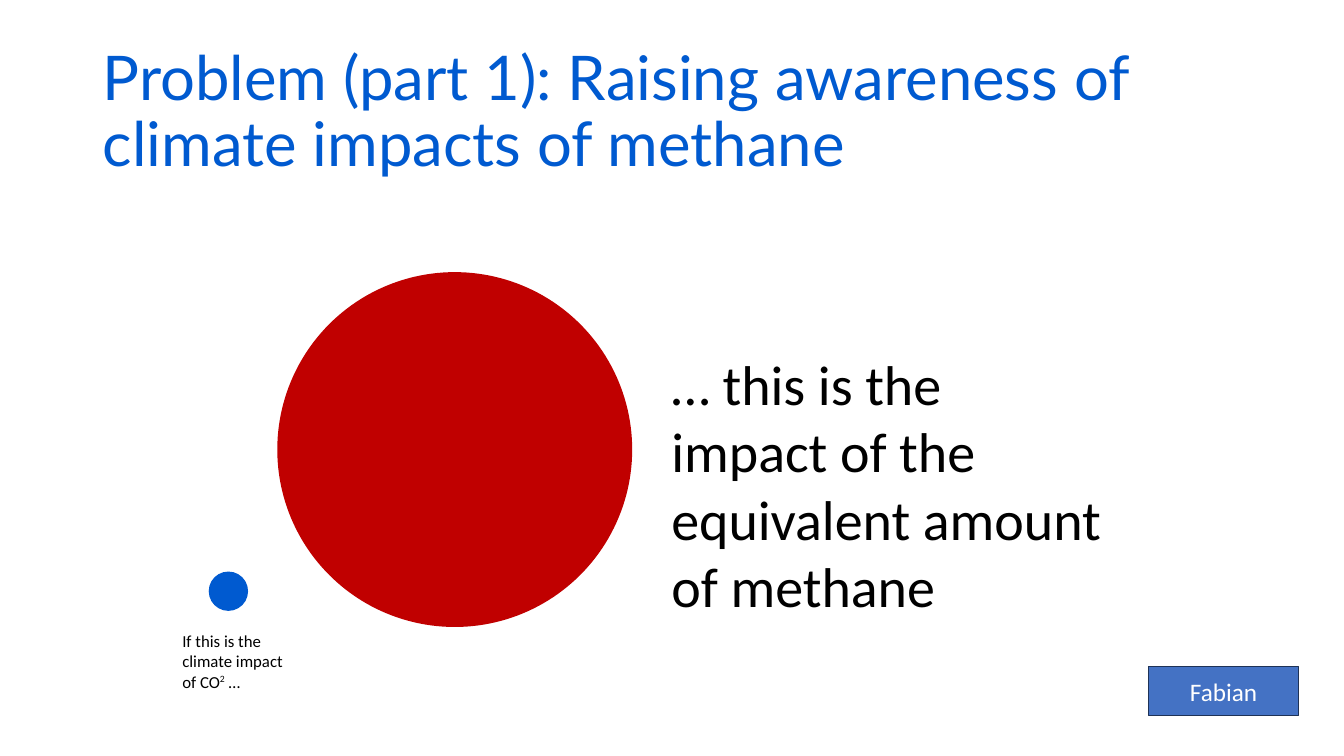
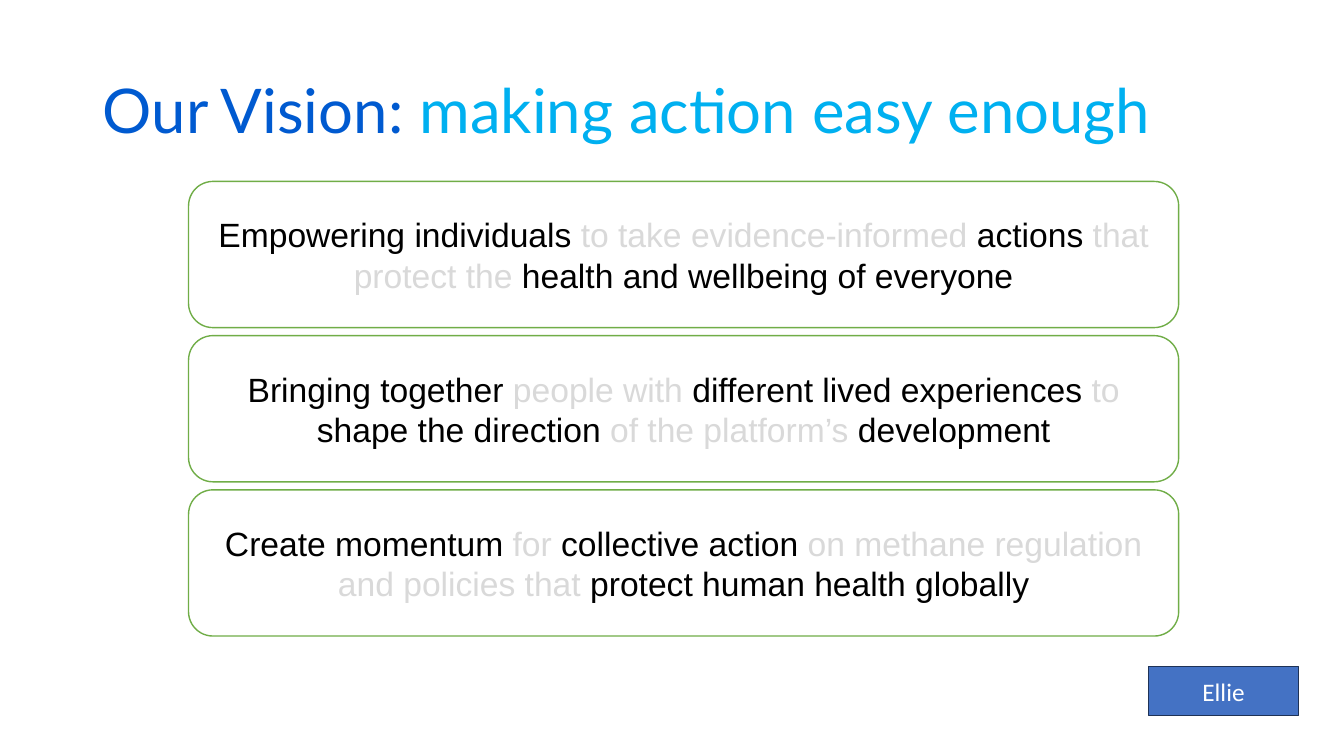
from dataclasses import dataclass

from pptx import Presentation
from pptx.dml.color import RGBColor
from pptx.enum.shapes import MSO_SHAPE
from pptx.enum.text import MSO_ANCHOR, MSO_AUTO_SIZE, PP_ALIGN
from pptx.util import Inches, Pt

OVAL, RECT, ROUND = MSO_SHAPE.OVAL, MSO_SHAPE.RECTANGLE, MSO_SHAPE.ROUNDED_RECTANGLE
LEFT, CENTER = PP_ALIGN.LEFT, PP_ALIGN.CENTER
TOP, MIDDLE = MSO_ANCHOR.TOP, MSO_ANCHOR.MIDDLE
FIXED = MSO_AUTO_SIZE.NONE


@dataclass(frozen=True)
class Theme:
    blue: str = "005AD0"
    sky: str = "00B0F0"
    red: str = "C00000"
    green: str = "70AD47"
    black: str = "000000"
    pale: str = "D9D9D9"
    white: str = "FFFFFF"
    tag: str = "4472C4"
    edge: str = "1E3256"
    head: tuple = ("Lato", 44)
    large: tuple = ("Calibri", 40)
    name: tuple = ("Calibri", 18)
    small: tuple = ("Calibri", 12)
    card: tuple = ("Arial", 24)


T = Theme()
TITLE_BOX = (0.92, 0.4, 11.5, 1.45)
TAG_BOX = (11.39, 6.61, 1.49, 0.49)
IMPACT_BOX = (1.71, 2.7, 9.36, 4.22)
VISION_BOX = (1.87, 1.8, 9.82, 4.51)

# Each card alternates between stressed and pale wording, stressed first.
CARDS = (
    ("Empowering individuals ", "to take evidence-informed ", "actions ",
     "that protect the", " health and wellbeing of everyone"),
    ("Bringing together ", "people with ", "different lived experiences",
     " to ", "shape the direction ", "of the platform’s ", "development"),
    ("Create momentum ", "for ", "collective action",
     " on methane regulation and policies that ",
     "protect human health globally"),
)


def rgb(code):
    return RGBColor.from_string(code)


def inches(box):
    return [Inches(n) for n in box]


def write(frame, runs, style, align=LEFT, anchor=TOP):
    """Fill a text frame with one paragraph of (text, colour) runs."""
    frame.word_wrap = True
    frame.auto_size = FIXED
    frame.vertical_anchor = anchor
    para = frame.paragraphs[0]
    para.alignment = align
    for text, color in runs:
        run = para.add_run()
        run.text = text
        run.font.name, run.font.size = style[0], Pt(style[1])
        run.font.color.rgb = rgb(color)
    return para


def shape(slide, kind, box, fill, line=None):
    item = slide.shapes.add_shape(kind, *inches(box))
    item.shadow.inherit = False
    item.fill.solid()
    item.fill.fore_color.rgb = rgb(fill)
    if line:
        item.line.color.rgb = rgb(line)
        item.line.width = Pt(1)
    else:
        item.line.fill.background()
    return item


def label(slide, box, runs, style):
    item = slide.shapes.add_textbox(*inches(box))
    return write(item.text_frame, runs, style)


def title(slide, runs):
    item = slide.shapes.title
    item.left, item.top, item.width, item.height = inches(TITLE_BOX)
    para = write(item.text_frame, runs, T.head, anchor=MIDDLE)
    para.line_spacing = 0.9


def tag(slide, name):
    item = shape(slide, RECT, TAG_BOX, T.tag, T.edge)
    write(item.text_frame, [(name, T.white)], T.name, CENTER, MIDDLE)


def impact(slide, box):
    """Compare the two gases as circles with captions."""
    x, y, wide, high = box
    shape(slide, OVAL, (x + 0.36, y + 2.97, 0.39, 0.39), T.blue)
    shape(slide, OVAL, (x + 1.04, y, 3.52, 3.52), T.red)
    words = ("If this is the climate impact of CO", "2", " …")
    para = label(slide, (x, y + high - 0.71, 1.36, 0.71),
                 [(word, T.black) for word in words], T.small)
    para.runs[1].font._element.set("baseline", "30000")
    label(slide, (x + wide - 4.51, y + 0.72, 4.51, 2.79),
          [("… this is the impact of the equivalent amount of methane", T.black)],
          T.large)


def vision(slide, box):
    """Stack the cards at equal steps."""
    x, y, wide, high = box
    tall = 1.45
    step = (high - tall) / (len(CARDS) - 1)
    tones = (T.black, T.pale)
    for row, words in enumerate(CARDS):
        item = shape(slide, ROUND, (x, y + row * step, wide, tall),
                     T.white, T.green)
        runs = [(word, tones[i % 2]) for i, word in enumerate(words)]
        write(item.text_frame, runs, T.card, CENTER, MIDDLE)


def page(deck, heads, name, body, box):
    slide = deck.slides.add_slide(deck.slide_layouts.get_by_name("Title Only"))
    title(slide, heads)
    body(slide, box)
    tag(slide, name)


def main():
    deck = Presentation()
    deck.slide_width, deck.slide_height = Inches(13.33), Inches(7.5)
    page(deck,
         [("Problem (part 1): Raising awareness of climate impacts of methane",
           T.blue)],
         "Fabian", impact, IMPACT_BOX)
    page(deck,
         [("Our Vision: ", T.blue), ("making action easy enough", T.sky)],
         "Ellie", vision, VISION_BOX)
    deck.save("out.pptx")


if __name__ == "__main__":
    main()
